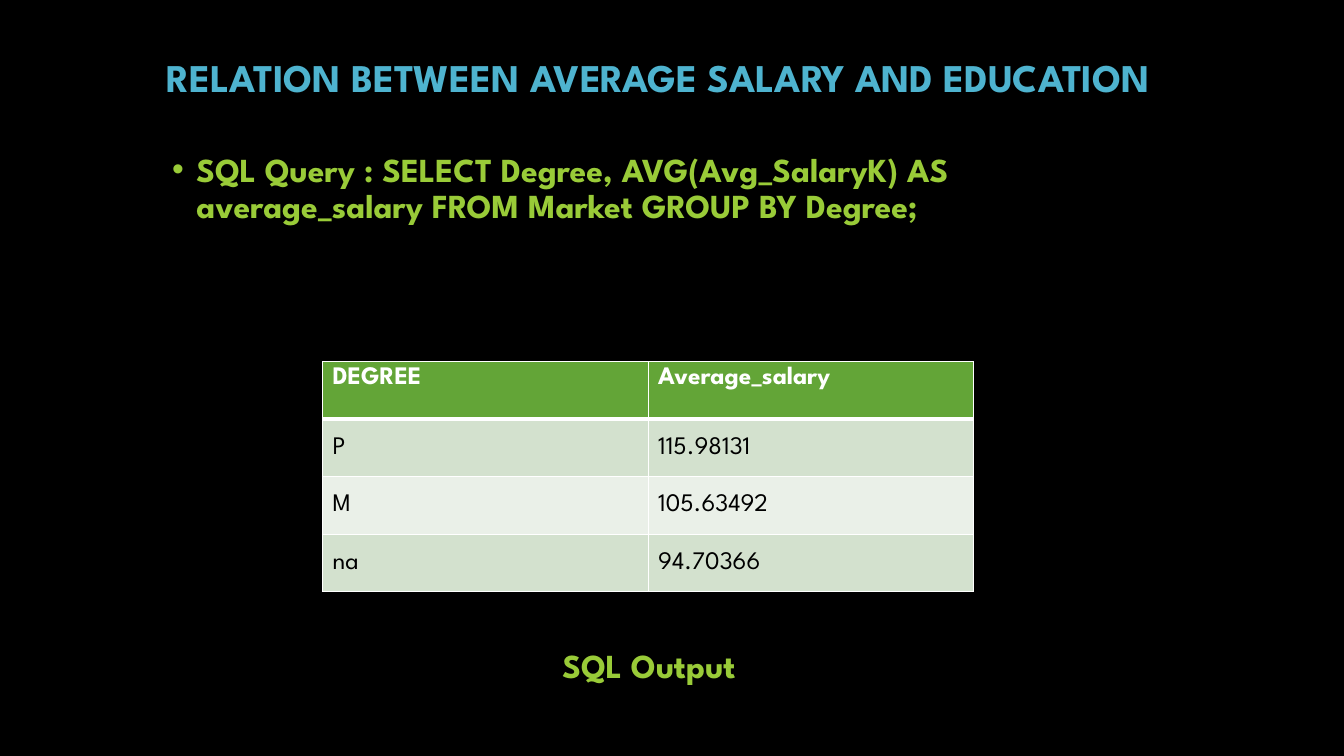
from dataclasses import dataclass

from lxml.etree import SubElement
from pptx import Presentation
from pptx.dml.color import RGBColor
from pptx.enum.text import MSO_ANCHOR
from pptx.oxml.ns import qn
from pptx.util import Pt


@dataclass(frozen=True)
class Theme:
    font: str = "League Spartan"
    background: str = "000000"
    title: str = "4EB3CF"
    accent: str = "99CB38"
    header: str = "63A537"
    bands: tuple = ("D3E1CE", "EAF0E8")
    light: str = "FFFFFF"
    dark: str = "000000"
    title_size: int = 28
    body_size: int = 24
    table_size: int = 18


THEME = Theme()
ROWS = [
    ("DEGREE", "Average_salary"),
    ("P", "115.98131"),
    ("M", "105.63492"),
    ("na", "94.70366"),
]


def set_attrs(obj, values):
    for name, value in values.items():
        setattr(obj, name, value)


def write(tf, text, size, color, bold=True):
    p = tf.paragraphs[0]
    r = p.add_run()
    r.text = text
    set_attrs(r.font, {"name": THEME.font, "size": Pt(size), "bold": bold})
    r.font.color.rgb = RGBColor.from_string(color)
    return p


def add_text(s, box, text, size, color, paragraph=None, **frame):
    tf = s.shapes.add_textbox(*map(Pt, box)).text_frame
    set_attrs(tf, {"word_wrap": True, **frame})
    p = write(tf, text, size, color)
    set_attrs(p, {"line_spacing": 0.9, **(paragraph or {})})
    return p


def add_bullet(p, color, indent):
    pPr = p._p.get_or_add_pPr()
    pPr.set("marL", str(Pt(indent)))
    pPr.set("indent", str(-Pt(indent)))
    clr = SubElement(pPr, qn("a:buClr"))
    SubElement(clr, qn("a:srgbClr"), val=color)
    SubElement(pPr, qn("a:buFont"), typeface="Arial")
    SubElement(pPr, qn("a:buChar"), char="•")


def add_borders(cell, color, widths):
    tcPr = cell._tc.get_or_add_tcPr()
    for side, width in widths.items():
        ln = SubElement(tcPr, qn(f"a:ln{side}"), w=str(Pt(width)))
        fill = SubElement(ln, qn("a:solidFill"))
        SubElement(fill, qn("a:srgbClr"), val=color)


def add_salary_table(s, box):
    table = s.shapes.add_table(len(ROWS), len(ROWS[0]), *map(Pt, box)).table
    set_attrs(table, {"first_row": False, "horz_banding": False})
    for i, row in enumerate(ROWS):
        head = i == 0
        color = THEME.light if head else THEME.dark
        fill = THEME.header if head else THEME.bands[(i - 1) % 2]
        widths = {"L": 1, "R": 1, "T": 3 if i == 1 else 1, "B": 3 if head else 1}
        for j, text in enumerate(row):
            cell = table.cell(i, j)
            cell.vertical_anchor = MSO_ANCHOR.TOP if head else MSO_ANCHOR.MIDDLE
            write(cell.text_frame, text, THEME.table_size, color, head)
            add_borders(cell, THEME.light, widths)
            cell.fill.solid()
            cell.fill.fore_color.rgb = RGBColor.from_string(fill)


def main():
    prs = Presentation()
    set_attrs(prs, {"slide_width": Pt(960), "slide_height": Pt(540)})
    s = prs.slides.add_slide(prs.slide_layouts[6])
    s.background.fill.solid()
    s.background.fill.fore_color.rgb = RGBColor.from_string(THEME.background)

    add_text(s, (111.6, 31.7, 762.5, 43.9),
             "RELATION BETWEEN AVERAGE SALARY AND EDUCATION",
             THEME.title_size, THEME.title, vertical_anchor=MSO_ANCHOR.BOTTOM)
    add_salary_table(s, (230.4, 258.5, 465.2, 164.2))
    spaced = {"space_before": Pt(18)}
    query = add_text(s, (115.9, 105.8, 738, 73.4),
                     "SQL Query : SELECT Degree, AVG(Avg_SalaryK) AS "
                     "average_salary FROM Market GROUP BY Degree;",
                     THEME.body_size, THEME.accent, spaced, margin_right=Pt(14))
    add_bullet(query, THEME.accent, 17.3)
    add_text(s, (394.6, 460.1, 232.6, 51.1), "SQL Output",
             THEME.body_size, THEME.accent, spaced)
    prs.save("out.pptx")


if __name__ == "__main__":
    main()
